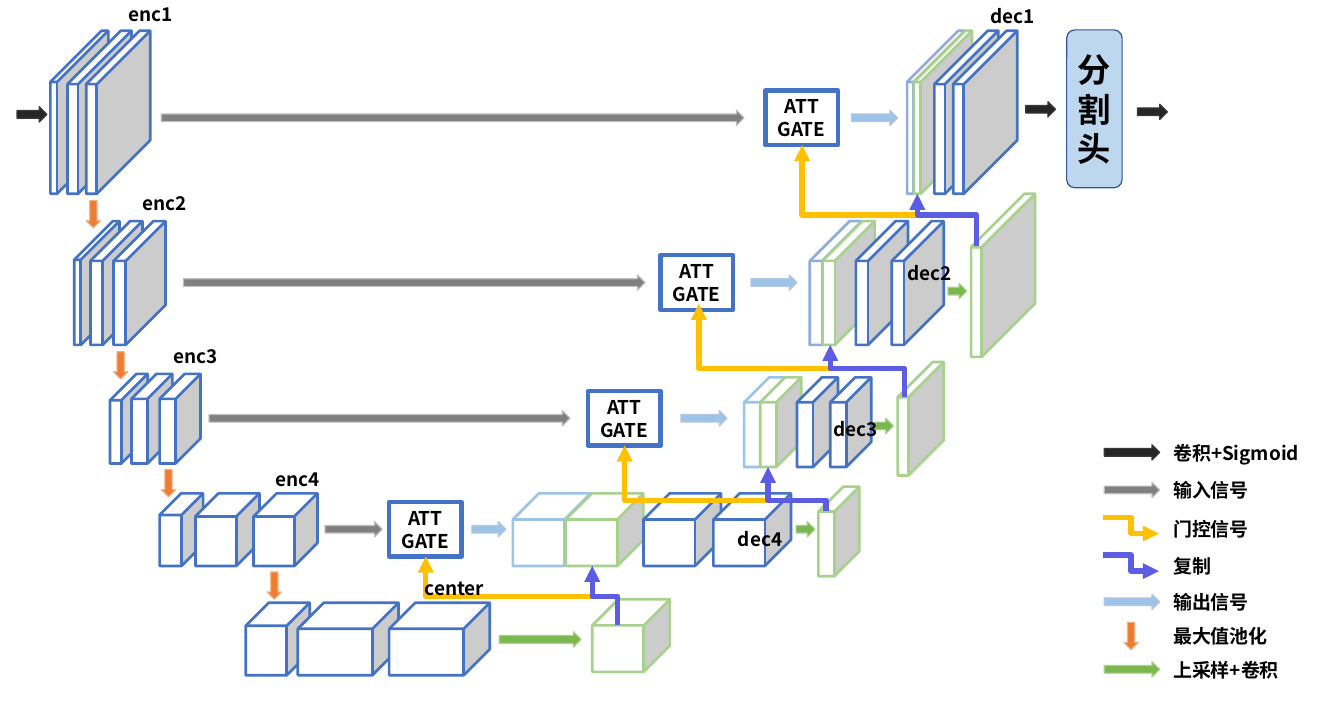
from lxml import etree
from pptx import Presentation
from pptx.dml.color import RGBColor
from pptx.enum.shapes import MSO_CONNECTOR, MSO_SHAPE
from pptx.enum.text import MSO_ANCHOR, PP_ALIGN
from pptx.oxml.ns import qn
from pptx.util import Pt

PX = 9144  # 100 px to the inch
CUBE, RECT, ROUND = MSO_SHAPE.CUBE, MSO_SHAPE.RECTANGLE, MSO_SHAPE.ROUNDED_RECTANGLE
RIGHT, DOWN = MSO_SHAPE.RIGHT_ARROW, MSO_SHAPE.DOWN_ARROW
ELBOW = MSO_CONNECTOR.ELBOW
LEFT, CENTER = PP_ALIGN.LEFT, PP_ALIGN.CENTER
TOP, MIDDLE = MSO_ANCHOR.TOP, MSO_ANCHOR.MIDDLE
CJK = "Noto Sans CJK SC"
BLUE, PALE, SKY, GREEN = "4472C4", "90ACDC", "9DC3E6", "A9D18E"
GATING, COPYING = "FFC000", "5D5DE3"
ARROWS = {  # kind: shape, fill, line
    "conv": (RIGHT, "262626", "3B3838"),
    "input": (RIGHT, "808080", "BFBFBF"),
    "output": (RIGHT, "9DC3E6", "B4C7E7"),
    "pool": (DOWN, "ED7D31", "F4B183"),
    "upsample": (RIGHT, "7AB74D", "A9D18E"),
}

# Stages: x, y, height, cubes as (dx, width, depth ratio, line)
STAGES = [
    (59, 36, 191, [(0, 68, .884, BLUE), (20, 75, .835, BLUE), (42, 75, .835, BLUE)]),
    (87, 259, 145, [(0, 53, .855, BLUE), (19, 61, .765, BLUE), (46, 61, .765, BLUE)]),
    (129, 438, 105, [(0, 44, .7, BLUE), (25, 48, .61, BLUE), (58, 48, .61, BLUE)]),
    (187, 578, 85, [(0, 51, .495, BLUE), (42, 75, .36, BLUE), (110, 75, .36, BLUE)]),
    (288, 706, 85, [(0, 75, .36, BLUE), (61, 118, .36, BLUE), (168, 118, .36, BLUE)]),
    (1063, 36, 191, [(0, 68, .884, PALE), (8, 68, .884, GREEN),
                     (32, 75, .835, BLUE), (54, 75, .835, BLUE)]),
    (949, 259, 145, [(0, 61, .765, PALE), (15, 61, .765, GREEN),
                     (54, 61, .765, BLUE), (96, 61, .765, BLUE)]),
    (872, 442, 105, [(0, 48, .61, SKY), (19, 48, .61, GREEN),
                     (62, 48, .61, BLUE), (101, 48, .61, BLUE)]),
    (601, 578, 85, [(0, 91, .36, SKY), (62, 91, .36, GREEN),
                    (153, 91, .36, BLUE), (235, 91, .36, BLUE)]),
    # Upsampled blocks
    (1138, 227, 191, [(0, 75, .835, GREEN)]),
    (1052, 424, 133, [(0, 54, .765, GREEN)]),
    (959, 570, 105, [(0, 48, .61, GREEN)]),
    (694, 702, 85, [(0, 91, .36, GREEN)]),
]
# Skip rows: x, y, input length, gate x, output x, output length
SKIPS = [(189, 106, 683, 897, 998, 54), (215, 299, 541, 774, 880, 54),
         (245, 458, 423, 689, 798, 54), (381, 588, 67, 456, 553, 40)]
# Feedback: start, height of the bend, gate entry, copy target
FEEDBACKS = [((724, 732), 699, (499, 652), (694, 663)),
             ((968, 599), 586, (732, 522), (900, 547)),
             ((1060, 465), 432, (819, 356), (973, 404)),
             ((1144, 288), 252, (940, 170), (1075, 227))]
FLOW = [("pool", 101, 235, 17), ("pool", 133, 412, 17), ("pool", 189, 550, 17),
        ("pool", 313, 670, 17), ("upsample", 585, 740, 96), ("upsample", 933, 611, 22),
        ("upsample", 1025, 490, 22), ("upsample", 1111, 332, 22),
        ("conv", 20, 125, 35), ("conv", 1202, 119, 35)]
LABELS = [("enc1", 141, -2), ("enc2", 157, 219), ("enc3", 193, 399), ("enc4", 313, 543),
          ("center", 488, 670), ("dec4", 855, 613), ("dec3", 967, 484),
          ("dec2", 1054, 302), ("dec1", 1151, 1)]
LEGEND = [(0, "conv", "卷积+Sigmoid"), (44, "input", "输入信号"), (89, GATING, "门控信号"),
          (133, COPYING, "复制"), (175, "output", "输出信号"), (215, "pool", "最大值池化"),
          (254, "upsample", "上采样+卷积")]


def rgb(value):
    return RGBColor.from_string(value)


def write(shape, text, size=16, font=CJK, align=LEFT, anchor=TOP):
    tf = shape.text_frame
    tf.word_wrap, tf.vertical_anchor = True, anchor
    p = tf.paragraphs[0]
    p.alignment, p.line_spacing = align, Pt(1.2 * size)
    r = p.add_run()
    r.text = text
    for name, value in {"size": Pt(size), "name": font, "bold": True}.items():
        setattr(r.font, name, value)
    r.font.color.rgb = rgb("000000")
    etree.SubElement(r.font._element, qn("a:ea")).set("typeface", CJK)


def label(s, text, x, y, w):
    write(s.shapes.add_textbox(x * PX, y * PX, w * PX, 37 * PX), text)


def block(s, kind, x, y, w, h, fill, line, width, adj=None):
    sp = s.shapes.add_shape(kind, x * PX, y * PX, w * PX, h * PX)
    sp.shadow.inherit = False
    if fill:
        sp.fill.solid()
        sp.fill.fore_color.rgb = rgb(fill)
    else:
        sp.fill.background()
    sp.line.color.rgb, sp.line.width = rgb(line), Pt(width)
    if adj is not None:
        sp.adjustments[0] = adj
    return sp


def arrow(s, kind, x, y, w):
    shape, fill, line = ARROWS[kind]
    block(s, shape, x, y, w, 32 if shape == DOWN else 18, fill, line, 1)


def elbow(s, start, end, color, bend=None):
    """Run sideways first, or upwards first and turn at the height bend."""
    (x1, y1), (x2, y2) = start, end
    c = s.shapes.add_connector(ELBOW, x1 * PX, y1 * PX, x2 * PX, y2 * PX)
    c.line.color.rgb, c.line.width = rgb(color), Pt(4.5)
    props = c._element.spPr
    etree.SubElement(props.find(qn("a:ln")), qn("a:tailEnd")).set("type", "triangle")
    etree.SubElement(props, qn("a:effectLst"))
    if bend is None:
        return
    # Quarter turn about the centre makes the first leg vertical
    w, h = y1 - y2, x1 - x2
    c.left, c.top = (x1 + x2 - w) * PX // 2, (y1 + y2 - h) * PX // 2
    c.width, c.height = w * PX, h * PX
    xfrm = props.find(qn("a:xfrm"))
    xfrm.attrib.pop("flipH", None)
    xfrm.set("rot", "16200000")
    xfrm.set("flipV", "1")
    geom = props.find(qn("a:prstGeom"))
    guides = geom.find(qn("a:avLst"))
    if guides is None:
        guides = etree.SubElement(geom, qn("a:avLst"))
    gd = etree.SubElement(guides, qn("a:gd"))
    gd.set("name", "adj1")
    gd.set("fmla", f"val {round((y1 - bend) / w * 100000)}")


def stage(s, x, y, h, cubes):
    for dx, w, depth, line in cubes:
        block(s, CUBE, x + dx, y, w, h, "FFFFFF", line, 2.25, depth)


def skip(s, x, y, length, gate_x, out_x, out_length):
    arrow(s, "input", x, y + 23, length)
    gate = block(s, RECT, gate_x, y, 85, 64, None, BLUE, 3.75)
    write(gate, "ATT GATE", align=CENTER, anchor=MIDDLE)
    arrow(s, "output", out_x, y + 23, out_length)


def feedback(s, start, bend, gate, target):
    elbow(s, start, gate, GATING, bend)
    elbow(s, start, target, COPYING, bend)


def head(s, x, y):
    box = block(s, ROUND, x, y, 65, 185, "BDD7EE", "325491", 1, .149)
    write(box, "分割头", 28, "Calibri", CENTER, MIDDLE)
    arrow(s, "conv", x + 83, y + 87, 35)


def legend(s, x, y):
    for dy, kind, text in LEGEND:
        top = y + dy
        if kind not in ARROWS:
            elbow(s, (x, top + 5), (x + 65, top + 24), kind)
        elif kind == "pool":
            arrow(s, kind, x + 24, top + 2, 17)
        else:
            arrow(s, kind, x + 1, top + 9, 65)
        label(s, text, x + 72, top, 188)


def main():
    prs = Presentation()
    prs.slide_width, prs.slide_height = 1575 * PX, 827 * PX
    s = prs.slides.add_slide(prs.slide_layouts[6])
    for part, rows in ((stage, STAGES), (arrow, FLOW), (skip, SKIPS), (feedback, FEEDBACKS)):
        for row in rows:
            part(s, *row)
    legend(s, 1293, 512)
    for text, x, y in LABELS:
        label(s, text, x, y, 92 if text == "center" else 75)
    head(s, 1250, 35)
    prs.save("out.pptx")


if __name__ == "__main__":
    main()
